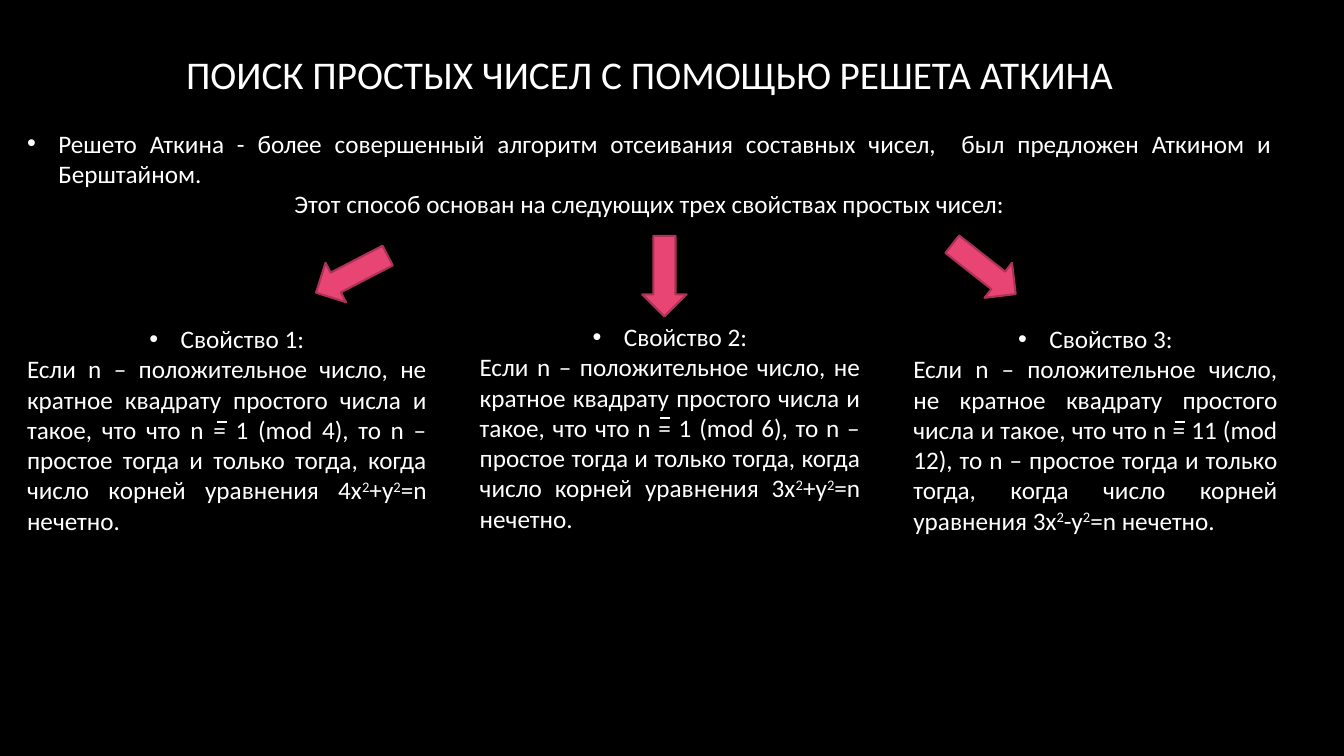
from lxml.etree import SubElement
from pptx import Presentation
from pptx.dml.color import RGBColor
from pptx.enum.shapes import MSO_CONNECTOR as LINE, MSO_SHAPE as SHAPE
from pptx.enum.text import MSO_ANCHOR as ANCHOR, PP_ALIGN as ALIGN
from pptx.oxml.ns import qn
from pptx.util import Inches, Pt

BLACK = RGBColor(0x00, 0x00, 0x00)
WHITE = RGBColor(0xFF, 0xFF, 0xFF)
PINK = RGBColor(0xE8, 0x45, 0x74)
WINE = RGBColor(0xAC, 0x33, 0x56)
FONT = "Calibri"

TITLE = "ПОИСК ПРОСТЫХ ЧИСЕЛ С ПОМОЩЬЮ РЕШЕТА АТКИНА"
INTRO = ("Решето Аткина - более совершенный алгоритм отсеивания составных чисел,  "
         "был предложен Аткином и Берштайном.")
BASIS = "Этот способ основан на следующих трех свойствах простых чисел:"
RULE = ("Если n – положительное число, не кратное квадрату простого числа и такое, "
        "что что n = {} (mod {}), то n – простое тогда и только тогда, "
        "когда число корней уравнения {}x")

# Box, remainder, modulus, factor, sign, left and top of the bar over "="
RULES = [
    ((0.17, 3.16, 4.16, 2.52), 1, 4, 3 + 1, "+", (2.15, 4.19)),
    ((4.66, 3.14, 3.97, 2.52), 1, 6, 3, "+", (6.55, 4.15)),
    ((8.96, 3.16, 3.81, 2.22), 11, 12, 3, "-", (11.65, 4.19)),
]
# Left, top, rotation
ARROWS = [(3.27, 2.32, 62.6), (6.37, 2.34, 0), (9.54, 2.27, 308.2)]


def add_box(slide, box, anchor=ANCHOR.TOP):
    frame = slide.shapes.add_textbox(*map(Inches, box)).text_frame
    frame.word_wrap = True
    frame.vertical_anchor = anchor
    return frame


def style(para, align, size=18):
    para.alignment = align
    for run in para.runs:
        run.font.size = Pt(size)
        run.font.name = FONT
        run.font.color.rgb = WHITE


def add_bullet(para):
    props = para._p.get_or_add_pPr()
    props.set("marL", str(Inches(0.31)))
    props.set("indent", str(Inches(-0.31)))
    SubElement(props, qn("a:buFont")).set("typeface", "Arial")
    SubElement(props, qn("a:buChar")).set("char", "•")


def add_title(slide, box):
    frame = add_box(slide, box, ANCHOR.MIDDLE)
    frame.text = TITLE
    style(frame.paragraphs[0], ALIGN.CENTER, 28)


def add_intro(slide, box):
    frame = add_box(slide, box)
    frame.text = INTRO + "\n" + BASIS
    first, second = frame.paragraphs
    add_bullet(first)
    style(first, ALIGN.JUSTIFY)
    style(second, ALIGN.CENTER)


def add_rule(slide, box, num, rest, mod, factor, sign, bar):
    frame = add_box(slide, box)
    frame.text = f"Свойство {num}:"
    head = frame.paragraphs[0]
    add_bullet(head)
    style(head, ALIGN.CENTER)

    # Body with raised powers
    body = frame.add_paragraph()
    parts = [RULE.format(rest, mod, factor), "2", sign + "y", "2", "=n нечетно."]
    for part in parts:
        run = body.add_run()
        run.text = part
        if part == "2":
            run._r.get_or_add_rPr().set("baseline", "30000")
    style(body, ALIGN.JUSTIFY)

    # Bar that turns "=" into a congruence sign
    left, top = bar
    line = slide.shapes.add_connector(
        LINE.STRAIGHT, Inches(left), Inches(top), Inches(left + 0.1), Inches(top))
    line.line.color.rgb = WHITE
    line.line.width = Pt(1.5)
    SubElement(line._element.spPr, qn("a:effectLst"))


def add_arrow(slide, left, top, turn):
    arrow = slide.shapes.add_shape(
        SHAPE.DOWN_ARROW, Inches(left), Inches(top), Inches(0.44), Inches(0.8))
    arrow.rotation = turn
    arrow.shadow.inherit = False
    arrow.fill.solid()
    arrow.fill.fore_color.rgb = PINK
    arrow.line.color.rgb = WINE
    arrow.line.width = Pt(1.5)


def main():
    deck = Presentation()
    deck.slide_width = Inches(13.33)
    deck.slide_height = Inches(7.5)
    slide = deck.slides.add_slide(deck.slide_layouts[6])
    slide.background.fill.solid()
    slide.background.fill.fore_color.rgb = BLACK

    add_title(slide, (0.9, -0.06, 11.08, 1.59))
    add_intro(slide, (0.17, 1.22, 12.54, 2.52))
    for num, (box, *facts) in enumerate(RULES, 1):
        add_rule(slide, box, num, *facts)
    for place in ARROWS:
        add_arrow(slide, *place)
    deck.save("out.pptx")


if __name__ == "__main__":
    main()
